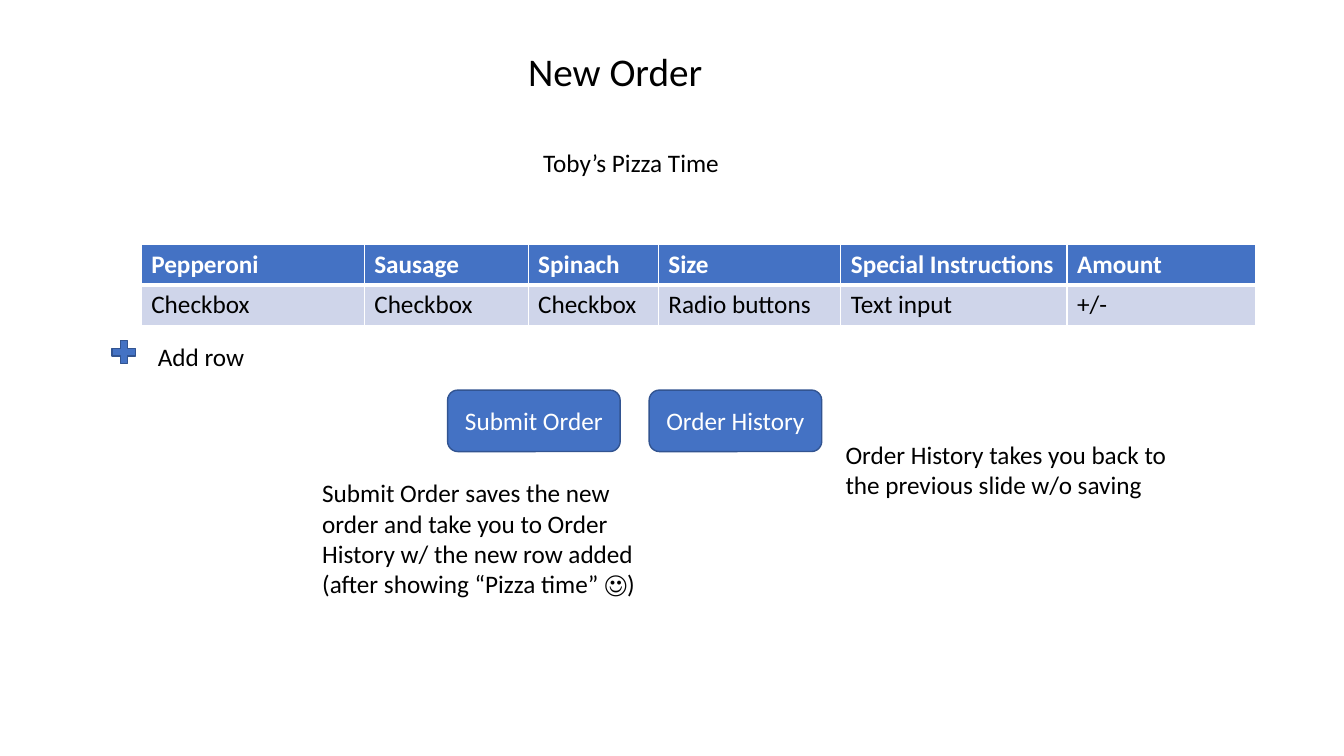
from dataclasses import dataclass

from lxml.etree import SubElement
from pptx import Presentation
from pptx.dml.color import RGBColor
from pptx.enum.shapes import MSO_SHAPE
from pptx.enum.text import MSO_ANCHOR, PP_ALIGN
from pptx.oxml.ns import qn
from pptx.shapes.autoshape import Shape
from pptx.slide import Slide
from pptx.table import _Cell
from pptx.text.text import TextFrame
from pptx.util import Cm, Pt

BLUE = RGBColor(0x44, 0x72, 0xC4)
NAVY = RGBColor(0x32, 0x54, 0x91)
PALE = RGBColor(0xCF, 0xD5, 0xEA)
WHITE = RGBColor(0xFF, 0xFF, 0xFF)
BLACK = RGBColor(0, 0, 0)


@dataclass
class Label:
    """A text box, measured in centimetres."""
    text: str
    left: float
    top: float
    width: float
    height: float
    size: int = 18


@dataclass
class Field:
    """A column of the order table."""
    head: str
    input: str
    width: float


LABELS = [
    Label("New Order", 13.06, 1.07, 14.05, 1.45, 28),
    Label("Toby’s Pizza Time", 13.44, 3.58, 5.38, 1.03),
    Label("Order History takes you back to the previous slide w/o saving",
          21.06, 10.95, 9.04, 1.8),
    Label("Submit Order saves the new order and take you to Order History "
          "w/ the new row added (after showing “Pizza time” ☺)",
          7.87, 11.91, 9.04, 3.33),
    Label("Add row", 3.73, 8.48, 3.45, 1.03),
]
FIELDS = [
    Field("Pepperoni", "Checkbox", 5.62),
    Field("Sausage", "Checkbox", 4.13),
    Field("Spinach", "Checkbox", 3.28),
    Field("Size", "Radio buttons", 4.6),
    Field("Special Instructions", "Text input", 5.7),
    Field("Amount", "+/-", 4.75),
]
BUTTONS = ["Submit Order", "Order History"]


def write(frame: TextFrame, text: str, *, size: int = 18,
          color: RGBColor = BLACK, bold: bool = False,
          align: PP_ALIGN = PP_ALIGN.LEFT) -> None:
    """Put formatted text in a frame."""
    line = frame.paragraphs[0]
    line.alignment = align
    run = line.add_run()
    run.text = text
    run.font.name = "Calibri"
    run.font.size = Pt(size)
    run.font.bold = bold
    run.font.color.rgb = color


def add_label(slide: Slide, label: Label) -> None:
    """Add a wrapped text box."""
    box = slide.shapes.add_textbox(Cm(label.left), Cm(label.top),
                                   Cm(label.width), Cm(label.height))
    box.text_frame.word_wrap = True
    write(box.text_frame, label.text, size=label.size)


def add_block(slide: Slide, kind: MSO_SHAPE, left: float, top: float,
              width: float, height: float) -> Shape:
    """Add a blue shape with a navy outline."""
    block = slide.shapes.add_shape(kind, Cm(left), Cm(top),
                                   Cm(width), Cm(height))
    block.shadow.inherit = False
    block.fill.solid()
    block.fill.fore_color.rgb = BLUE
    block.line.color.rgb = NAVY
    block.line.width = Pt(1)
    return block


def add_button(slide: Slide, text: str, left: float) -> None:
    """Add a rounded button with a centred caption."""
    button = add_block(slide, MSO_SHAPE.ROUNDED_RECTANGLE,
                       left, 9.83, 4.35, 1.55)
    frame = button.text_frame
    frame.word_wrap = True
    frame.vertical_anchor = MSO_ANCHOR.MIDDLE
    write(frame, text, color=WHITE, align=PP_ALIGN.CENTER)


def add_edge(cell: _Cell, side: str, width: int) -> None:
    """Draw one white border of a cell."""
    edge = SubElement(cell._tc.get_or_add_tcPr(), qn(f"a:{side}"),
                      w=str(Pt(width)))
    fill = SubElement(edge, qn("a:solidFill"))
    SubElement(fill, qn("a:srgbClr"), val=str(WHITE))


def fill_cell(cell: _Cell, text: str, head: bool) -> None:
    """Style and fill a head or body cell."""
    thick = "lnB" if head else "lnT"
    for side in ("lnL", "lnR", "lnT", "lnB"):
        add_edge(cell, side, 3 if side == thick else 1)
    cell.fill.solid()
    cell.fill.fore_color.rgb = BLUE if head else PALE
    write(cell.text_frame, text, color=WHITE if head else BLACK, bold=head)


def add_order(slide: Slide, fields: list[Field]) -> None:
    """Add the order table."""
    width = sum(field.width for field in fields)
    table = slide.shapes.add_table(2, len(fields), Cm(3.56), Cm(6.15),
                                   Cm(width), Cm(2.06)).table
    for col, field in enumerate(fields):
        table.columns[col].width = Cm(field.width)
        fill_cell(table.cell(0, col), field.head, True)
        fill_cell(table.cell(1, col), field.input, False)


def main() -> None:
    """Build and save the slide."""
    deck = Presentation()
    deck.slide_width, deck.slide_height = Cm(33.87), Cm(19.05)
    slide = deck.slides.add_slide(deck.slide_layouts[6])
    add_order(slide, FIELDS)
    for index, text in enumerate(BUTTONS):
        add_button(slide, text, 11.28 + index * 5.08)
    add_block(slide, MSO_SHAPE.MATH_PLUS, 2.72, 8.48, 0.81, 0.79)
    for label in LABELS:
        add_label(slide, label)
    deck.save("out.pptx")


main()
